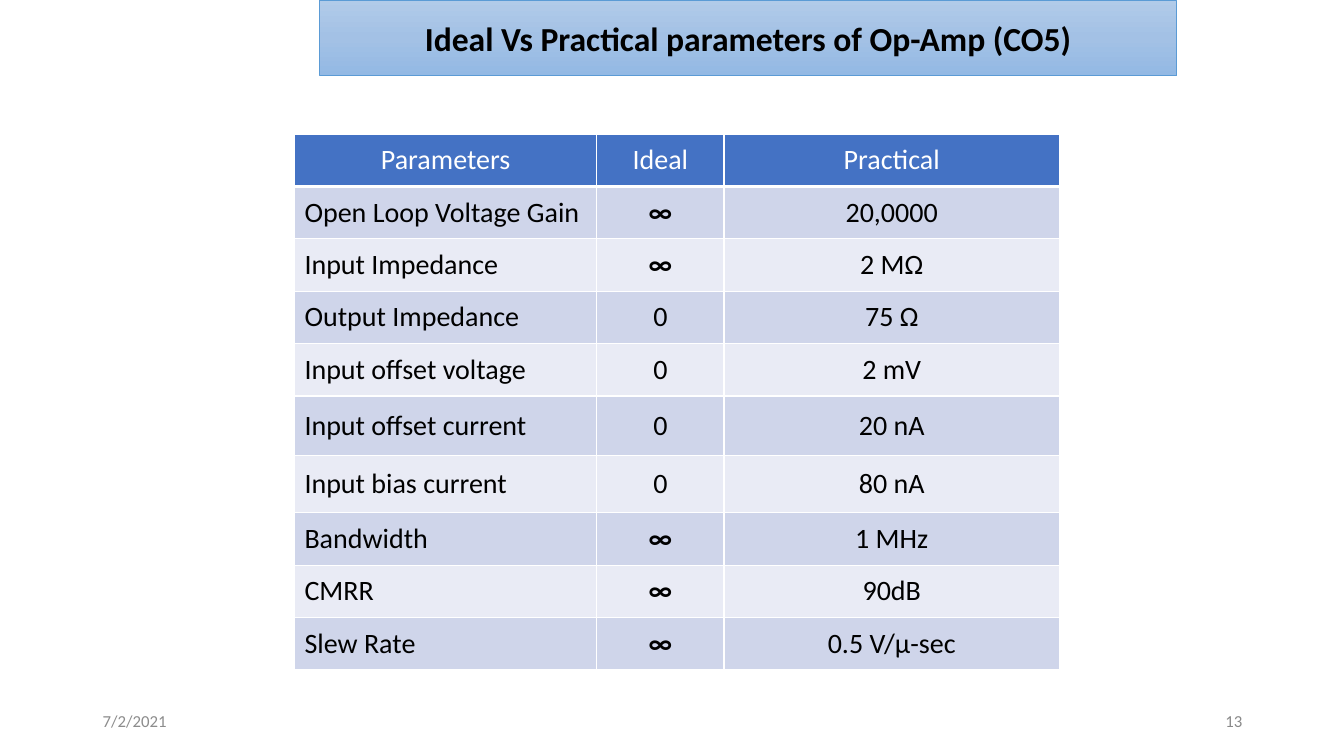
from copy import deepcopy

from lxml import etree
from pptx import Presentation
from pptx.dml.color import RGBColor
from pptx.enum import shapes, text
from pptx.oxml import ns
from pptx.util import Inches, Pt

# Content
TITLE = "Ideal Vs Practical parameters of Op-Amp (CO5)"
HEADER = ("Parameters", "Ideal", "Practical")
PARAMETERS = [
    ("Open Loop Voltage Gain", "∞", "20,0000"),
    ("Input Impedance", "∞", "2 MΩ"),
    ("Output Impedance", "0", "75 Ω"),
    ("Input offset voltage", "0", "2 mV"),
    ("Input offset current", "0", "20 nA"),
    ("Input bias current", "0", "80 nA"),
    ("Bandwidth", "∞", "1 MHz"),
    ("CMRR", "∞", "90dB"),
    ("Slew Rate", "∞", "0.5 V/μ-sec"),
]
LEFT, CENTER, RIGHT = text.PP_ALIGN.LEFT, text.PP_ALIGN.CENTER, text.PP_ALIGN.RIGHT
FOOTERS = [("7/2/2021", 0.92, LEFT, "8C8C8C"), ("13", 9.42, RIGHT, "898989")]

# Layout, in inches
COLUMN_WIDTHS = (3, 1.26, 3.33)
ROW_HEIGHT = 0.52
TALL_ROWS = {5: 0.59, 6: 0.57}

THEME = {
    "font": "Calibri",
    "title_size": 24, "table_size": 20, "footer_size": 12,
    "text": "000000", "header_text": "FFFFFF", "header_fill": "4472C4",
    "bands": ("E9EBF5", "CFD5EA"), "rule": "FFFFFF",
    "title_gradient": ((0, "B1CBE9"), (0.5, "A3C1E5"), (1, "93B9E4")),
    "title_line": "5B9BD5",
}


def write(frame, words, size, color, align, bold=False):
    frame.word_wrap = True
    paragraph = frame.paragraphs[0]
    paragraph.alignment = align
    run = paragraph.add_run()
    run.text = words
    font_format = {"name": THEME["font"], "size": Pt(size), "bold": bold}
    for attribute, value in font_format.items():
        setattr(run.font, attribute, value)
    run.font.color.rgb = RGBColor.from_string(color)


def rule_cell(cell, bottom_width):
    widths = {"L": 1, "R": 1, "T": 1, "B": bottom_width}
    for side, width in widths.items():
        line = etree.SubElement(cell._tc.get_or_add_tcPr(), ns.qn(f"a:ln{side}"), w=str(Pt(width)))
        fill = etree.SubElement(line, ns.qn("a:solidFill"))
        etree.SubElement(fill, ns.qn("a:srgbClr"), val=THEME["rule"])


def add_title(slide):
    banner = slide.shapes.add_shape(
        shapes.MSO_SHAPE.RECTANGLE, Inches(3.17), 0, Inches(8.5), Inches(0.75))
    banner.shadow.inherit = False
    banner.fill.gradient()
    banner.fill.gradient_angle = 270
    stop_list = banner._element.spPr.find(".//" + ns.qn("a:gsLst"))
    stop_list.append(deepcopy(stop_list[0]))
    for stop, (position, color) in zip(banner.fill.gradient_stops, THEME["title_gradient"]):
        stop.position = position
        stop.color.rgb = RGBColor.from_string(color)
    banner.line.color.rgb = RGBColor.from_string(THEME["title_line"])
    banner.line.width = Pt(0.5)
    banner.text_frame.vertical_anchor = text.MSO_ANCHOR.MIDDLE
    write(banner.text_frame, TITLE, THEME["title_size"], THEME["text"], CENTER, bold=True)


def add_parameters(slide):
    rows = [HEADER] + PARAMETERS
    heights = [TALL_ROWS.get(index, ROW_HEIGHT) for index in range(len(rows))]
    table = slide.shapes.add_table(
        len(rows), len(HEADER), Inches(2.92), Inches(1.33),
        Inches(sum(COLUMN_WIDTHS)), Inches(sum(heights))).table
    for column, width in zip(table.columns, COLUMN_WIDTHS):
        column.width = Inches(width)
    for row_index, values in enumerate(rows):
        table.rows[row_index].height = Inches(heights[row_index])
        is_header = row_index == 0
        fill = THEME["header_fill"] if is_header else THEME["bands"][row_index % 2]
        color = THEME["header_text"] if is_header else THEME["text"]
        for column_index, value in enumerate(values):
            cell = table.cell(row_index, column_index)
            rule_cell(cell, 3 if is_header else 1)
            cell.fill.solid()
            cell.fill.fore_color.rgb = RGBColor.from_string(fill)
            cell.vertical_anchor = text.MSO_ANCHOR.MIDDLE
            align = CENTER if is_header or column_index else LEFT
            write(cell.text_frame, value, THEME["table_size"], color, align, bold=value == "∞")


def add_footers(slide):
    for words, left, align, color in FOOTERS:
        footer = slide.shapes.add_textbox(Inches(left), Inches(6.95), Inches(3), Inches(0.4))
        footer.text_frame.vertical_anchor = text.MSO_ANCHOR.MIDDLE
        write(footer.text_frame, words, THEME["footer_size"], color, align)


def main():
    deck = Presentation()
    deck.slide_width, deck.slide_height = Inches(13.33), Inches(7.5)
    slide = deck.slides.add_slide(deck.slide_layouts[6])
    add_title(slide)
    add_parameters(slide)
    add_footers(slide)
    deck.save("out.pptx")


if __name__ == "__main__":
    main()
